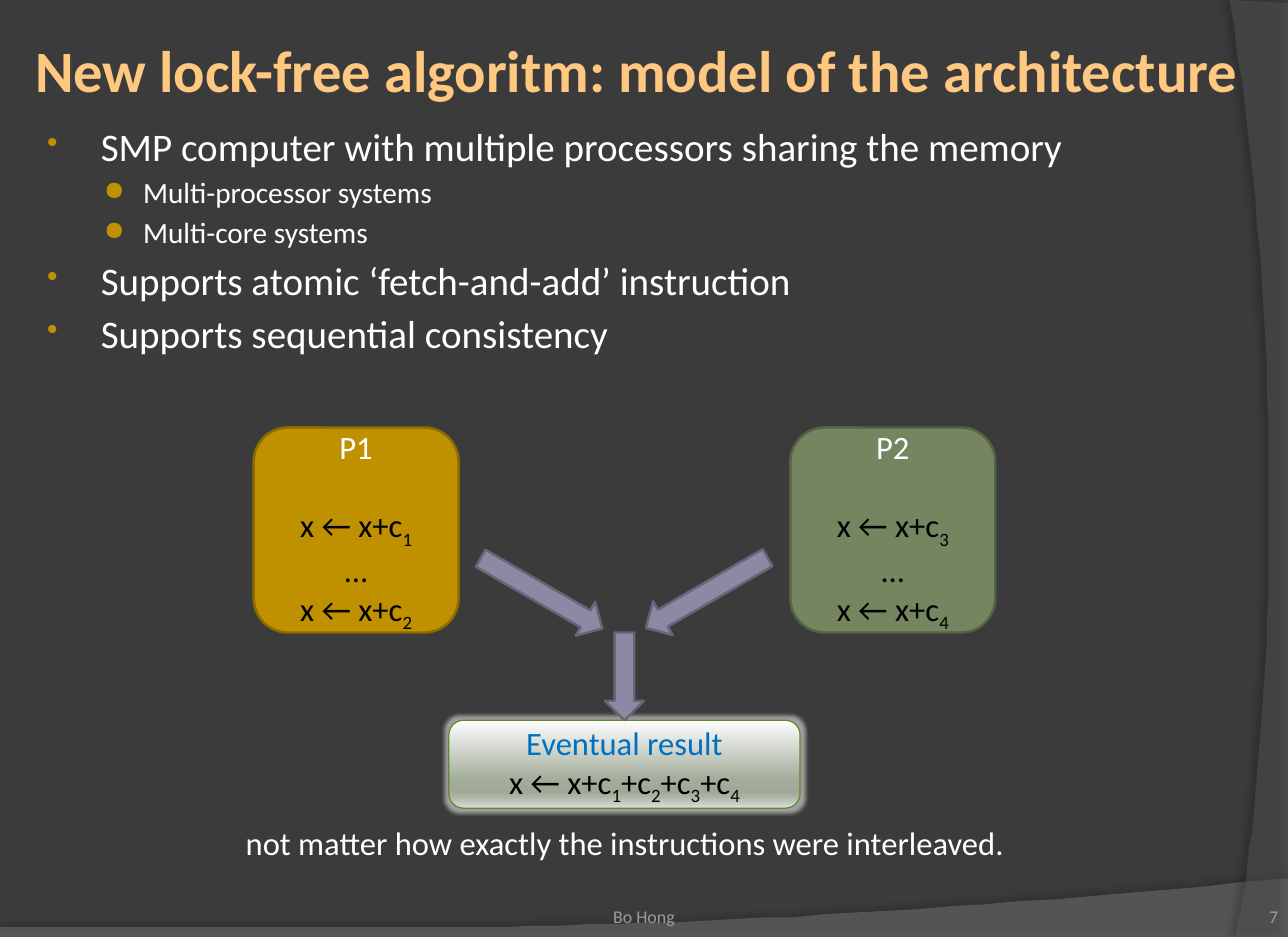
from dataclasses import dataclass

from lxml import etree
from pptx import Presentation
from pptx import util as u
from pptx.dml.color import RGBColor
from pptx.enum import shapes, text
from pptx.oxml.ns import qn

Pt = u.Pt
KIND = shapes.MSO_SHAPE
ALIGN = text.PP_ALIGN
ANCHOR = text.MSO_ANCHOR


@dataclass(frozen=True)
class Theme:
    face: str = "Calibri"
    back: str = "3B3B3B"
    white: str = "FFFFFF"
    black: str = "000000"
    title: str = "FFC880"
    gold: str = "BF9000"
    gold_edge: str = "8D6B00"
    green: str = "748560"
    green_edge: str = "566247"
    arrow: str = "8D89A4"
    arrow_edge: str = "686579"
    result: str = "0070C0"
    result_edge: str = "5F882F"
    glow: str = "E4E6E2"
    wave: str = "7F7F7F"
    side: str = "5E5E5E"
    faint: str = "9D9B9A"
    fade: tuple = ((0, "FEFEFE"), (68, "A3AC9A"), (81, "9FA996"),
                   (86, "A9B1A1"), (100, "DBDED9"))
    head: int = 36
    main: int = 24
    sub: int = 18
    box: int = 20
    foot: int = 11


def add_tag(parent, name, **attrs):
    item = etree.SubElement(parent, qn("a:" + name))
    for key, value in attrs.items():
        item.set(key, str(value))
    return item


def add_color(parent, color, alpha=100):
    item = add_tag(parent, "srgbClr", val=color)
    if alpha < 100:
        add_tag(item, "alpha", val=alpha * 1000)


def curve(start, one, two, end, steps=40):
    """Points along a cubic curve, without its start."""
    spots = []
    for step in range(1, steps + 1):
        t = step / steps
        s = 1 - t
        spots.append(tuple(s**3 * a + 3 * s * s * t * b + 3 * s * t * t * c + t**3 * d
                           for a, b, c, d in zip(start, one, two, end)))
    return spots


class Deck:
    def __init__(self, slide, theme):
        self.slide, self.theme = slide, theme
        fill = slide.background.fill
        fill.solid()
        fill.fore_color.rgb = RGBColor.from_string(theme.back)

    def paint(self, shape, fill, edge=None, width=1.5):
        shape.shadow.inherit = False
        shape.fill.solid()
        shape.fill.fore_color.rgb = RGBColor.from_string(fill)
        if edge:
            shape.line.color.rgb = RGBColor.from_string(edge)
            shape.line.width = Pt(width)
        else:
            shape.line.fill.background()

    def panel(self, points, fill, alpha, shade, blur, dist, angle):
        pen = self.slide.shapes.build_freeform(*points[0], scale=Pt(1))
        pen.add_line_segments(points[1:], close=True)
        shape = pen.convert_to_shape()
        self.paint(shape, fill)
        props = shape._element.spPr
        color = props.find(qn("a:solidFill"))[0]
        add_tag(color, "alpha", val=alpha * 1000)
        cast = add_tag(props.find(qn("a:effectLst")), "outerShdw", blurRad=Pt(blur),
                       dist=Pt(dist), dir=angle * 60000, rotWithShape=0)
        add_color(cast, self.theme.black, shade)

    def shape(self, kind, area, fill, edge, width=1.5, turn=0):
        shape = self.slide.shapes.add_shape(kind, *map(Pt, area))
        self.paint(shape, fill, edge, width)
        shape.rotation = turn
        return shape

    def fade(self, shape, stops):
        shape.fill.gradient()
        shape.fill.gradient_angle = 270
        ramp = shape._element.spPr.find(".//" + qn("a:gsLst"))
        for old in list(ramp):
            ramp.remove(old)
        for place, color in stops:
            add_color(add_tag(ramp, "gs", pos=place * 1000), color)

    def glow(self, shape, color, alpha, size):
        effects = shape._element.spPr.find(qn("a:effectLst"))
        add_color(add_tag(effects, "glow", rad=Pt(size)), color, alpha)

    def line(self, frame, words, size, color, align=ALIGN.LEFT, bold=False,
             before=0, bullet=None):
        """Add one paragraph; an underscore lowers the next character."""
        first = frame.paragraphs[0]
        para = first if not first.runs else frame.add_paragraph()
        para.alignment = align
        para.space_before = Pt(before)
        if bullet:
            mark, scale, left, hang = bullet
            props = para._p.get_or_add_pPr()
            props.set("marL", str(Pt(left)))
            props.set("indent", str(-Pt(hang)))
            add_color(add_tag(props, "buClr"), self.theme.gold)
            add_tag(props, "buSzPct", val=scale * 1000)
            add_tag(props, "buChar", char=mark)
        font = para.font
        font.name, font.size, font.bold = self.theme.face, Pt(size), bold
        font.color.rgb = RGBColor.from_string(color)
        start, *rest = words.split("_")
        para.add_run().text = start
        for part in rest:
            low = para.add_run()
            low.text = part[0]
            low._r.get_or_add_rPr().set("baseline", "-25000")
            if part[1:]:
                para.add_run().text = part[1:]

    def label(self, area, pads=(7.2, 3.6, 7.2, 3.6), anchor=ANCHOR.TOP, wrap=True):
        frame = self.slide.shapes.add_textbox(*map(Pt, area)).text_frame
        frame.word_wrap, frame.vertical_anchor = wrap, anchor
        (frame.margin_left, frame.margin_top,
         frame.margin_right, frame.margin_bottom) = map(Pt, pads)
        return frame


def main():
    show = Presentation()
    show.slide_width, show.slide_height = Pt(792), Pt(576)
    theme = Theme()
    deck = Deck(show.slides.add_slide(show.slide_layouts[6]), theme)

    # Curved panels at the bottom and right
    wave = curve((792, 540), (442.8, 573.1), (309.6, 571.7), (0, 569.5))
    deck.panel([(0, 576.5), (792, 576.5), (792, 540)] + wave,
               theme.wave, 45, 35, 4, 3.5, 270)
    side = curve((759.6, 576), (780.5, 475.2), (794.9, 230.4), (756, 0))
    deck.panel([(792, 1.5), (792, 576), (759.6, 576)] + side,
               theme.side, 40, 45, 4, 4, 180)

    # Title
    frame = deck.label((18, 18, 762, 49), (3.6,) * 4, ANCHOR.MIDDLE)
    deck.line(frame, "New lock-free algoritm: model of the architecture",
              theme.head, theme.title, bold=True)

    # Bullet list
    levels = ((theme.main, 4, ("•", 80, 36, 33)), (theme.sub, 3, ("●", 90, 62, 24)))
    frame = deck.label((18, 72, 762, 462), (8, 3.6, 8, 3.6))
    for level, words in (
            (0, "SMP computer with multiple processors sharing the memory"),
            (1, "Multi-processor systems"),
            (1, "Multi-core systems"),
            (0, "Supports atomic ‘fetch-and-add’ instruction"),
            (0, "Supports sequential consistency")):
        size, before, bullet = levels[level]
        deck.line(frame, words, size, theme.white, before=before, bullet=bullet)

    # Footer and slide number
    frame = deck.label((271, 539, 250, 31), (0, 3.6, 0, 0), ANCHOR.BOTTOM)
    deck.line(frame, "Bo Hong", theme.foot, theme.faint, ALIGN.CENTER)
    frame = deck.label((720, 539, 66, 31), (0,) * 4, ANCHOR.BOTTOM)
    deck.line(frame, "7", theme.foot, theme.faint, ALIGN.RIGHT)

    # Processors
    for name, left, fill, edge, one, two in (
            ("P1", 156, theme.gold, theme.gold_edge, 1, 2),
            ("P2", 486, theme.green, theme.green_edge, 3, 4)):
        box = deck.shape(KIND.ROUNDED_RECTANGLE, (left, 262.8, 126, 126), fill, edge)
        frame = box.text_frame
        frame.vertical_anchor = ANCHOR.MIDDLE
        deck.line(frame, name, theme.box, theme.white, ALIGN.CENTER)
        for words, before in ((f"x ← x+c_{one}", 24.4), ("…", 0), (f"x ← x+c_{two}", 0)):
            deck.line(frame, words, theme.box, theme.black, ALIGN.CENTER, before=before)

    # Eventual result
    box = deck.shape(KIND.ROUNDED_RECTANGLE, (276, 442.8, 216, 54),
                     theme.green, theme.result_edge, 0.75)
    deck.fade(box, theme.fade)
    deck.glow(box, theme.glow, 60, 5)
    box.text_frame.vertical_anchor = ANCHOR.MIDDLE
    for words, color in (("Eventual result", theme.result),
                         ("x ← x+c_1+c_2+c_3+c_4", theme.black)):
        deck.line(box.text_frame, words, theme.box, color, ALIGN.CENTER)

    # Arrows into the result
    for mid, top, tall, turn in ((333, 321.6, 86.4, 300), (434.6, 321.2, 86.4, 60),
                                 (384, 388.8, 54, 0)):
        deck.shape(KIND.DOWN_ARROW, (mid - 12, top, 24, tall),
                   theme.arrow, theme.arrow_edge, turn=turn)

    # Closing remark
    frame = deck.label((144, 502.6, 481.7, 31.5), wrap=False)
    deck.line(frame, "not matter how exactly the instructions were interleaved.",
              theme.box, theme.white)

    show.save("out.pptx")


if __name__ == "__main__":
    main()
